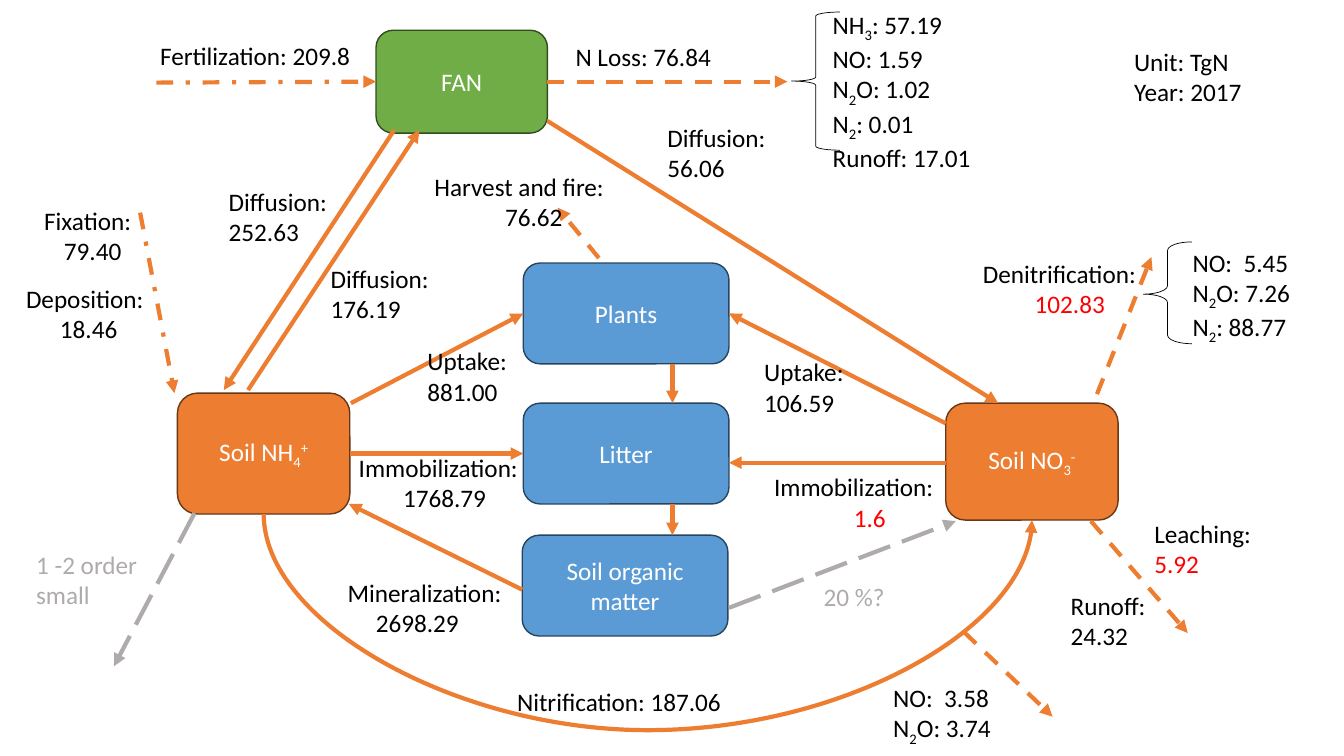
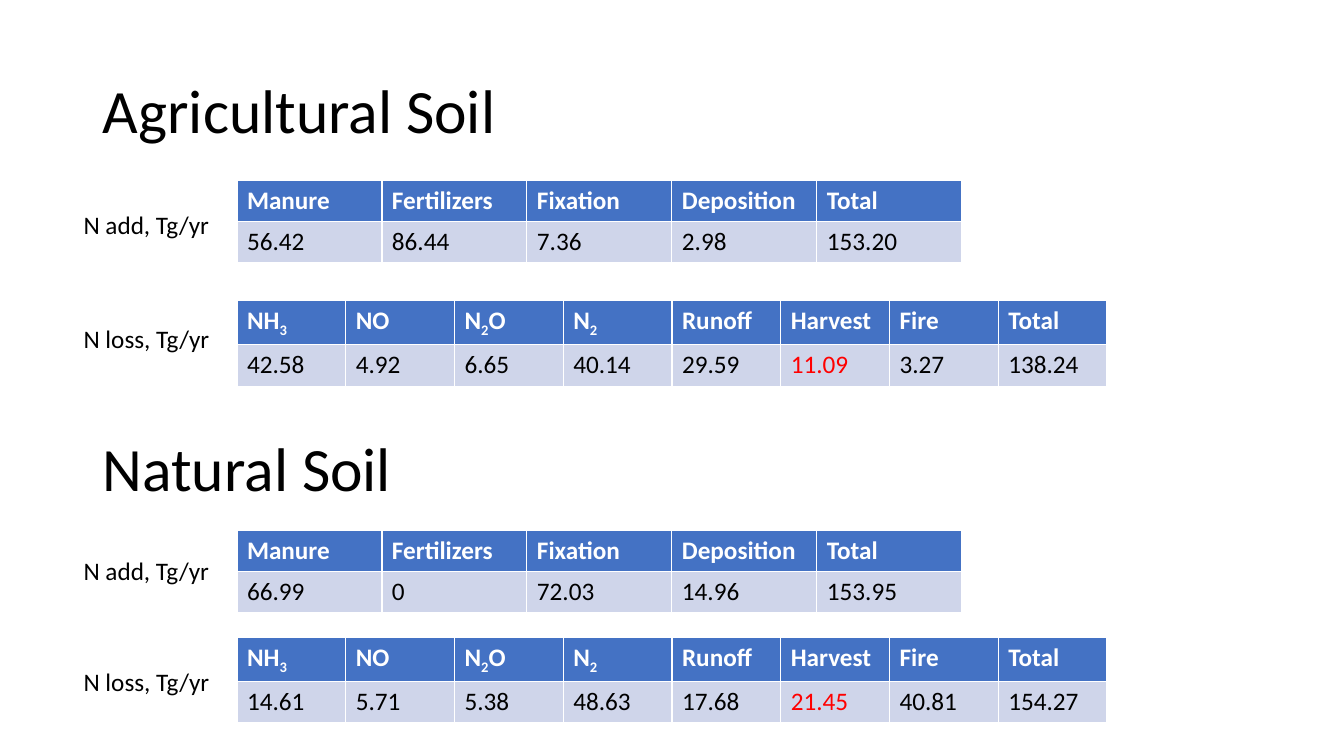
from dataclasses import dataclass
from itertools import groupby

from pptx import Presentation
from pptx.dml.color import RGBColor
from pptx.enum.dml import MSO_LINE
from pptx.enum.shapes import MSO_CONNECTOR, MSO_SHAPE
from pptx.enum.text import MSO_ANCHOR, PP_ALIGN
from pptx.oxml.ns import qn
from pptx.util import Inches, Pt
from lxml.etree import SubElement


@dataclass(frozen=True)
class Theme:
    font: str = "Calibri"
    body: int = 18
    title: int = 44
    black: str = "000000"
    white: str = "FFFFFF"
    red: str = "FF0000"
    grey: str = "AFABAB"
    orange: str = "ED7D31"
    orange_edge: str = "683715"
    green: str = "70AD47"
    green_edge: str = "314C1F"
    blue: str = "5B9BD5"
    blue_edge: str = "28445D"
    table_head: str = "4472C4"
    table_body: str = "CFD5EA"
    arrow_width: float = 3
    brace_width: float = 0.5


THEME = Theme()
COLUMNS, ROWS = 13.33, 7.5
TOP, LEFT, BOTTOM, RIGHT = range(4)  # connection sites of a box
SCRIPTS = {"₂": ("2", -25), "₃": ("3", -25), "₄": ("4", -25),
           "⁺": ("+", 30), "⁻": ("-", 30)}


@dataclass
class Region:
    """A part of the slide with its own grid of columns and rows."""
    left: int
    top: int
    width: int
    height: int
    columns: float
    rows: float

    def size(self, columns, rows):
        return (int(self.width * columns / self.columns),
                int(self.height * rows / self.rows))

    def spot(self, column, row):
        x, y = self.size(column, row)
        return self.left + x, self.top + y

    def frame(self, column, row, columns, rows):
        return *self.spot(column, row), *self.size(columns, rows)


# ---------- shared text and shape helpers ----------

def color(code):
    return RGBColor.from_string(code)


def write(para, text, code=THEME.black, size=THEME.body, bold=False):
    """Fill a paragraph; sub- and superscript signs become raised or lowered runs."""
    for sign, letters in groupby(text, lambda letter: letter if letter in SCRIPTS else ""):
        span = para.add_run()
        span.text = SCRIPTS[sign][0] if sign else "".join(letters)
        if sign:
            span._r.get_or_add_rPr().set("baseline", str(SCRIPTS[sign][1] * 1000))
        font = span.font
        font.name, font.size, font.bold = THEME.font, Pt(size), bold
        font.color.rgb = color(code)


def add_label(page, region, at, lines, code=THEME.black, value_code=None,
              centred=False, indent=0):
    """Text lines; the options after code apply to the last line."""
    column, row, columns = at
    box = page.shapes.add_textbox(*region.frame(column, row, columns, 0.1 + 0.3 * len(lines)))
    frame = box.text_frame
    frame.word_wrap = True
    for number, line in enumerate(lines):
        para = frame.add_paragraph() if number else frame.paragraphs[0]
        last = number == len(lines) - 1
        write(para, line, value_code if last and value_code else code)
        if last and centred:
            para.alignment = PP_ALIGN.CENTER
        if last and indent:
            para._p.get_or_add_pPr().set("marL", str(region.size(indent, 0)[0]))


def add_pool(page, region, at, text, fill, edge):
    box = page.shapes.add_shape(MSO_SHAPE.ROUNDED_RECTANGLE, *region.frame(*at))
    box.shadow.inherit = False
    box.fill.solid()
    box.fill.fore_color.rgb = color(fill)
    box.line.color.rgb = color(edge)
    box.line.width = Pt(1)
    box.text_frame.word_wrap = True
    box.text_frame.vertical_anchor = MSO_ANCHOR.MIDDLE
    para = box.text_frame.paragraphs[0]
    para.alignment = PP_ALIGN.CENTER
    write(para, text, THEME.white)
    return box


def add_brace(page, region, at, adjustments=()):
    brace = page.shapes.add_shape(MSO_SHAPE.LEFT_BRACE, *region.frame(*at))
    brace.shadow.inherit = False
    brace.fill.background()
    brace.line.color.rgb = color(THEME.black)
    brace.line.width = Pt(THEME.brace_width)
    for number, value in enumerate(adjustments):
        brace.adjustments[number] = value


def add_arrow(page, region, pools, start, end, dash=None, code=THEME.orange,
              kind=MSO_CONNECTOR.STRAIGHT):
    """Each end is a (column, row) point or a (pool, site) to be glued to."""
    glued = [isinstance(tip[0], str) for tip in (start, end)]
    points = [region.spot(0, 0) if held else region.spot(*tip)
              for held, tip in zip(glued, (start, end))]
    arrow = page.shapes.add_connector(kind, *points[0], *points[1])
    if glued[0]:
        arrow.begin_connect(pools[start[0]], start[1])
    if glued[1]:
        arrow.end_connect(pools[end[0]], end[1])
    arrow.line.color.rgb = color(code)
    arrow.line.width = Pt(THEME.arrow_width)
    if dash:
        arrow.line.dash_style = dash
    properties = arrow._element.spPr
    SubElement(properties.find(qn("a:ln")), qn("a:tailEnd")).set("type", "triangle")
    SubElement(properties, qn("a:effectLst"))
    return arrow


def add_loop(page, region, pools, start, end, depth):
    """Curved arrow that leaves and enters from below."""
    arrow = add_arrow(page, region, pools, start, end, kind=MSO_CONNECTOR.CURVE)
    reach, rise = arrow.end_x - arrow.begin_x, arrow.end_y - arrow.begin_y
    middle_x = (arrow.begin_x + arrow.end_x) // 2
    middle_y = (arrow.begin_y + arrow.end_y) // 2
    arrow.left, arrow.top = middle_x - rise // 2, middle_y - reach // 2
    arrow.width, arrow.height = rise, reach
    properties = arrow._element.spPr
    transform = properties.find(qn("a:xfrm"))
    transform.set("rot", str(270 * 60000))
    transform.set("flipH", "1")
    guides = properties.find(qn("a:prstGeom")).get_or_add_avLst()
    guide = SubElement(guides, qn("a:gd"))
    guide.set("name", "adj1")
    guide.set("fmla", f"val {round(region.size(0, depth)[1] / rise * 100000)}")


# ---------- nitrogen flow diagram ----------

ORANGE = (THEME.orange, THEME.orange_edge)
GREEN = (THEME.green, THEME.green_edge)
BLUE = (THEME.blue, THEME.blue_edge)
POOLS = [
    ("Soil NH₄⁺", (1.76, 3.9, 1.71, 1.2), ORANGE),
    ("Soil NO₃⁻", (9.38, 4, 1.71, 1.16), ORANGE),
    ("FAN", (3.73, 0.3, 1.7, 1.02), GREEN),
    ("Plants", (5.19, 2.61, 2.04, 1), BLUE),
    ("Litter", (5.19, 4, 2.04, 1), BLUE),
    ("Soil organic matter", (5.18, 5.31, 2.04, 1), BLUE),
]
FLOWS = [
    ((9.38, 4.59), (7.23, 4.59)),
    ((9.38, 4.2), ("Plants", RIGHT)),
    ((3.48, 4), ("Plants", LEFT)),
    (("Soil NH₄⁺", RIGHT), ("Litter", LEFT)),
    ((5.18, 5.85), (3.46, 5)),
    ((3.91, 1.29), (2.22, 3.87)),
    ((2.46, 3.87), (4.16, 1.29)),
    ((5.43, 1.2), (9.9, 4)),
    ((6.67, 3.61), (6.67, 4)),
    ((6.67, 5), (6.67, 5.31)),
]
INPUTS = [((1.55, 0.82), ("FAN", LEFT)), ((1.39, 2.11), (1.73, 3.9))]
LOSSES = [
    (("FAN", RIGHT), (7.81, 0.81)),
    ((10.88, 3.91), (11.42, 2.55)),
    ((10.82, 5.17), (11.78, 6.28)),
    ((5.94, 2.56), (5.53, 2.06)),
    ((9.56, 6.27), (10.44, 7.11)),
]
UNCERTAIN = [((7.23, 6.03), (9.48, 5.17)), ((1.93, 5.09), (1.13, 6.61))]
ARROW_GROUPS = [
    (FLOWS, None, THEME.orange),
    (INPUTS, MSO_LINE.DASH_DOT, THEME.orange),
    (LOSSES, MSO_LINE.DASH, THEME.orange),
    (UNCERTAIN, MSO_LINE.LONG_DASH, THEME.grey),
]
BRACES = [((7.85, 0.12, 0.48, 1.37), ()), ((11.34, 2.4, 0.48, 1.01), (0.175, 0.513))]
CENTRED = {"centred": True}
RED = {"value_code": THEME.red}
GREY = {"code": THEME.grey}
LABELS = [
    ((1.49, 0.35, 2.25), ["Fertilization: 209.8"], {}),
    ((5.61, 0.36, 1.7), ["N Loss: 76.84"], {}),
    ((0.34, 1.99, 1.16), ["Fixation:", "79.40"], CENTRED),
    ((0.16, 2.76, 1.44), ["Deposition:", "18.46"], CENTRED),
    ((2.17, 1.8, 1.39), ["Diffusion:", "252.63"], {}),
    ((3.18, 2.56, 1.39), ["Diffusion:", "176.19"], {}),
    ((6.52, 1.16, 1.25), ["Diffusion:", "56.06"], {}),
    ((10.52, 5.81, 1.25), ["Runoff:", "24.32"], {}),
    ((11.35, 5.09, 1.25), ["Leaching:", "5.92"], RED),
    ((9.65, 2.51, 1.92), ["Denitrification:", "102.83"], RED | CENTRED),
    ((5.03, 6.76, 2.78), ["Nitrification: 187.06"], {}),
    ((4.14, 3.38, 2.09), ["Uptake:", "881.00"], {}),
    ((7.48, 3.49, 1.51), ["Uptake:", "106.59"], {}),
    ((3.46, 4.44, 1.9), ["Immobilization:", "1768.79"], CENTRED),
    ((7.58, 4.63, 1.9), ["Immobilization:", "1.6"], RED | {"indent": 0.79}),
    ((3.35, 5.68, 1.9), ["Mineralization:", "2698.29"], {"indent": 0.28}),
    ((4.21, 1.65, 2.17), ["Harvest and fire:", "76.62"], CENTRED),
    ((8.16, 0.04, 1.65),
     ["NH₃: 57.19", "NO: 1.59", "N₂O: 1.02", "N₂: 0.01", "Runoff: 17.01"], {}),
    ((11.73, 2.4, 1.44), ["NO:  5.45", "N₂O: 7.26", "N₂: 88.77"], {}),
    ((8.76, 6.72, 1.25), ["NO:  3.58", "N₂O: 3.74"], {}),
    ((8.07, 5.72, 0.9), ["20 %?"], GREY),
    ((0.26, 5.4, 1.25), ["1 -2 order small"], GREY),
    ((11.15, 0.41, 1.44), ["Unit: TgN", "Year: 2017"], {}),
]


def flow_diagram(page, region):
    pools = {name: add_pool(page, region, at, name, *colors) for name, at, colors in POOLS}
    for ends, dash, code in ARROW_GROUPS:
        for start, end in ends:
            add_arrow(page, region, pools, start, end, dash, code)
    add_loop(page, region, pools, ("Soil NH₄⁺", BOTTOM), ("Soil NO₃⁻", BOTTOM), 2.15)
    for at, adjustments in BRACES:
        add_brace(page, region, at, adjustments)
    for at, lines, style in LABELS:
        add_label(page, region, at, lines, **style)


# ---------- soil budget tables ----------

ADD_HEADS = ["Manure", "Fertilizers", "Fixation", "Deposition", "Total"]
LOSS_HEADS = ["NH₃", "NO", "N₂O", "N₂", "Runoff", "Harvest", "Fire", "Total"]
ADD, LOSS = ("N add, Tg/yr", ADD_HEADS, 7.19), ("N loss, Tg/yr", LOSS_HEADS, 8.63)
# Each budget: kind, label row, table row, values
AGRICULTURAL = [
    (ADD, 1.63, 1.39, ["56.42", "86.44", "7.36", "2.98", "153.20"]),
    (LOSS, 2.76, 2.58,
     ["42.58", "4.92", "6.65", "40.14", "29.59", "11.09", "3.27", "138.24"]),
]
NATURAL = [
    (ADD, 1.51, 1.31, ["66.99", "0", "72.03", "14.96", "153.95"]),
    (LOSS, 2.61, 2.37,
     ["14.61", "5.71", "5.38", "48.63", "17.68", "21.45", "40.81", "154.27"]),
]


def budget_table(page, at, heads, values):
    table = page.shapes.add_table(2, len(heads), *at).table
    for column, (head, value) in enumerate(zip(heads, values)):
        value_code = THEME.red if head == "Harvest" else THEME.black
        for row, (text, fill, code) in enumerate([
                (head, THEME.table_head, THEME.white),
                (value, THEME.table_body, value_code)]):
            cell = table.cell(row, column)
            cell.fill.solid()
            cell.fill.fore_color.rgb = color(fill)
            write(cell.text_frame.paragraphs[0], text, code, bold=row == 0)


def soil_section(page, region, heading, title, budgets):
    heading.left, heading.top, heading.width, heading.height = region.frame(0.92, 0, 11.5, 1.45)
    heading.text_frame.word_wrap = True
    heading.text_frame.vertical_anchor = MSO_ANCHOR.MIDDLE
    para = heading.text_frame.paragraphs[0]
    para.alignment, para.line_spacing = PP_ALIGN.LEFT, 0.9
    write(para, title, size=THEME.title)
    for (name, heads, width), label_row, table_row, values in budgets:
        add_label(page, region, (0.73, label_row, 1.55), [name])
        budget_table(page, region.frame(2.35, table_row, width, 0.82), heads, values)


def main():
    deck = Presentation()
    deck.slide_width, deck.slide_height = Inches(COLUMNS), Inches(ROWS)
    title_only, blank = deck.slide_layouts[5], deck.slide_layouts[6]
    whole = Region(0, 0, deck.slide_width, deck.slide_height, COLUMNS, ROWS)

    flow_diagram(deck.slides.add_slide(blank), whole)

    page = deck.slides.add_slide(title_only)
    upper, lower = (Region(*whole.frame(0, row, COLUMNS, 3.55), COLUMNS, 3.55)
                    for row in (0.4, 3.95))
    soil_section(page, upper, page.shapes.title, "Agricultural Soil", AGRICULTURAL)
    second_heading = page.shapes.add_textbox(0, 0, 0, 0)
    soil_section(page, lower, second_heading, "Natural Soil", NATURAL)
    deck.save("out.pptx")


if __name__ == "__main__":
    main()
